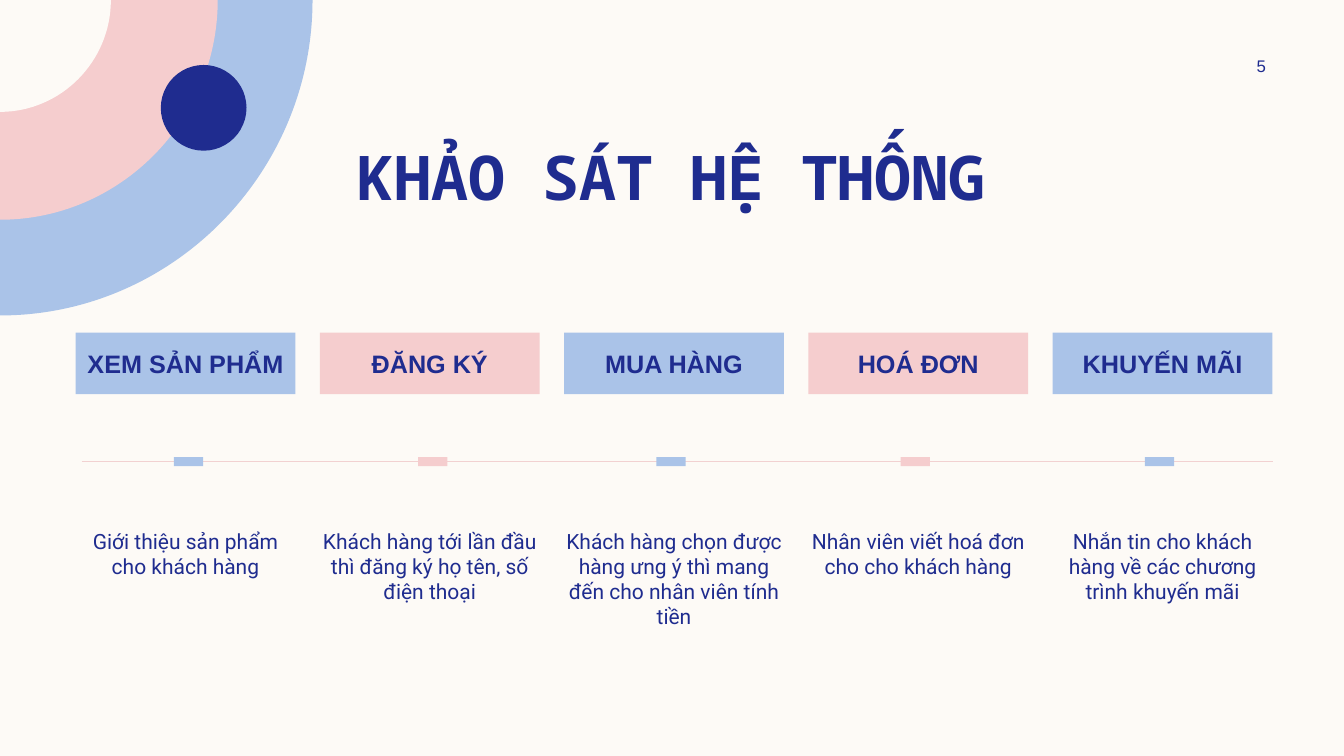
from lxml.etree import SubElement
from pptx import Presentation
from pptx.dml.color import RGBColor
from pptx.enum.shapes import MSO_CONNECTOR as Connector, MSO_SHAPE as Shape
from pptx.enum.text import MSO_ANCHOR as Anchor, PP_ALIGN as Align
from pptx.oxml.ns import qn
from pptx.util import Inches, Pt

WIDTH, HEIGHT = 13.33, 7.5
CREAM, BLUE, PINK, NAVY, RULE = "FDFAF6", "AAC3E8", "F5CDCE", "1F2C8F", "F2D1D1"
COLUMN_WIDTH, COLUMN_PITCH = 2.18, 2.4225
ARC_HANDLE = 0.55

STEPS = [
    ("XEM SẢN PHẨM", "Giới thiệu sản phẩm cho khách hàng", BLUE, 0.03),
    ("ĐĂNG KÝ", "Khách hàng tới lần đầu thì đăng ký họ tên, số điện thoại", PINK, 0.03),
    ("MUA HÀNG", "Khách hàng chọn được hàng ưng ý thì mang đến cho nhân viên tính tiền", BLUE, -0.03),
    ("HOÁ ĐƠN", "Nhân viên viết hoá đơn cho cho khách hàng", PINK, -0.03),
    ("KHUYẾN MÃI", "Nhắn tin cho khách hàng về các chương trình khuyến mãi", BLUE, -0.03),
]


def paint(color_format, color):
    color_format.rgb = RGBColor.from_string(color)


def fill_plain(shape, color):
    shape.shadow.inherit = False
    shape.fill.solid()
    paint(shape.fill.fore_color, color)
    shape.line.fill.background()
    return shape


def add_block(page, kind, box, color):
    return fill_plain(page.shapes.add_shape(kind, *map(Inches, box)), color)


def write(shape, text, size, font, bold=False, anchor=Anchor.MIDDLE, insets=(0, 0)):
    frame = shape.text_frame
    frame.word_wrap = True
    frame.vertical_anchor = anchor
    frame.margin_left = frame.margin_right = Inches(insets[0])
    frame.margin_top = frame.margin_bottom = Inches(insets[1])
    para = frame.paragraphs[0]
    para.alignment = Align.CENTER
    run = para.add_run()
    run.text = text
    run.font.name, run.font.size, run.font.bold = font, Pt(size), bold
    paint(run.font.color, NAVY)


def add_text(page, box, *args, **options):
    write(page.shapes.add_textbox(*map(Inches, box)), *args, **options)


def add_quarter_disc(page, left, top, width, height, color):
    builder = page.shapes.build_freeform(Inches(left), Inches(top))
    corners = [(left + width, top), (left, top + height)]
    builder.add_line_segments([tuple(map(Inches, corner)) for corner in corners], close=True)
    disc = fill_plain(builder.convert_to_shape(), color)
    edge = disc._element.findall(".//" + qn("a:lnTo"))[1]
    curve = edge.makeelement(qn("a:cubicBezTo"))
    for x, y in ((width, height * ARC_HANDLE), (width * ARC_HANDLE, height), (0, height)):
        SubElement(curve, qn("a:pt"), x=str(Inches(x)), y=str(Inches(y)))
    edge.getparent().replace(edge, curve)


def add_corner(page, left, top):
    for width, height, color in ((3.1, 3.13, BLUE), (2.16, 2.18, PINK), (1.1, 1.11, CREAM)):
        add_quarter_disc(page, left, top, width, height, color)
    add_block(page, Shape.OVAL, (left + 1.595, top + 0.645, 0.85, 0.85), NAVY)


def add_heading(page):
    add_text(page, (0.83, 1.32, 11.67, 0.84), "KHẢO SÁT HỆ THỐNG", 44,
             "Noto Sans Mono", bold=True, insets=(0.1, 0.05))
    add_text(page, (11.97, 0.5, 1.08, 0.3), "5", 12, "Arial", insets=(0.1, 0.05))


def add_axis(page, left, top, width):
    axis = page.shapes.add_connector(
        Connector.STRAIGHT, *map(Inches, (left, top, left + width, top)))
    paint(axis.line.color, RULE)
    axis.line.width = Pt(1)
    SubElement(axis._element.spPr, qn("a:effectLst"))


def add_step(page, left, top, title, detail, color, marker_shift):
    label = add_block(page, Shape.RECTANGLE, (left, top, COLUMN_WIDTH, 0.61), color)
    write(label, title, 18, "Arial", bold=True)
    marker_left = left + (COLUMN_WIDTH - 0.09) / 2 + marker_shift
    marker = add_block(page, Shape.RECTANGLE, (marker_left, top + 1.135, 0.09, 0.29), color)
    marker.rotation = 270
    add_text(page, (left, top + 1.89, COLUMN_WIDTH, 0.87), detail, 15, "Roboto",
             anchor=Anchor.TOP, insets=(0, 0.05))


def add_timeline(page, left, top):
    add_axis(page, left + 0.06, top + 1.28, 11.82)
    for index, step in enumerate(STEPS):
        add_step(page, left + index * COLUMN_PITCH, top, *step)


def main():
    deck = Presentation()
    deck.slide_width, deck.slide_height = Inches(WIDTH), Inches(HEIGHT)
    page = deck.slides.add_slide(deck.slide_layouts[6])
    page.background.fill.solid()
    paint(page.background.fill.fore_color, CREAM)
    add_corner(page, 0, 0)
    add_heading(page)
    add_timeline(page, 0.75, 3.3)
    deck.save("out.pptx")


if __name__ == "__main__":
    main()
